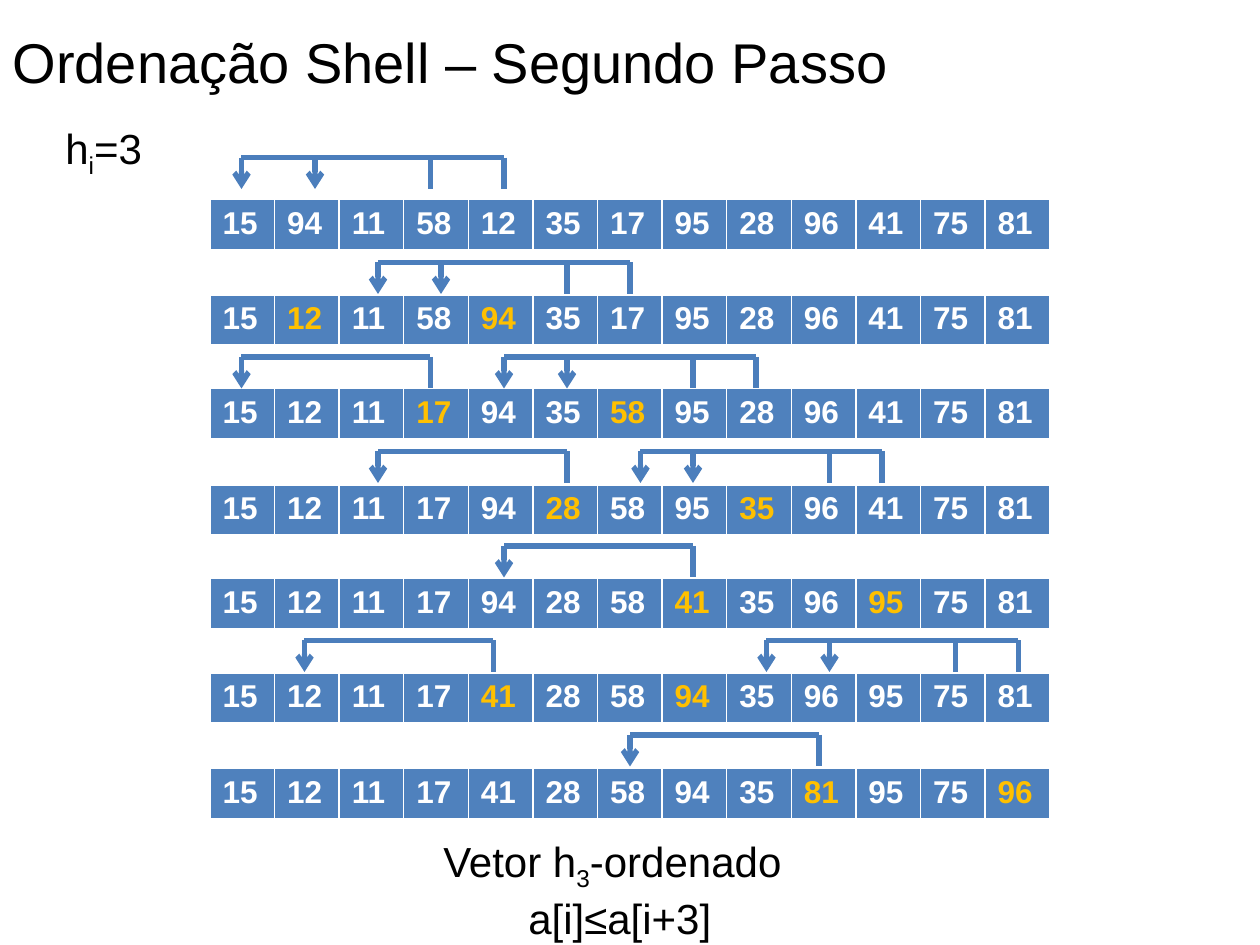
import dataclasses
import lxml.etree
import pptx
import pptx.dml.color
import pptx.enum.shapes
import pptx.enum.text
import pptx.oxml.ns
import pptx.util

BLACK = pptx.dml.color.RGBColor(0x00, 0x00, 0x00)
WHITE = pptx.dml.color.RGBColor(0xFF, 0xFF, 0xFF)
CELL_BLUE = pptx.dml.color.RGBColor(0x4F, 0x81, 0xBD)
BRACKET_BLUE = pptx.dml.color.RGBColor(0x4B, 0x7E, 0xBC)
SWAP_GOLD = pptx.dml.color.RGBColor(0xFF, 0xC0, 0x00)
FONT_NAME = "Arial"

GRID_PER_INCH = 12
TABLE_LEFT, TABLE_WIDTH, TABLE_HEIGHT = 20, 80, 4.9
BRACKET_SPAN, BRACKET_HEIGHT = 18, 3
INITIAL_VALUES = (15, 94, 11, 58, 12, 35, 17, 95, 28, 96, 41, 75, 81)


@dataclasses.dataclass(frozen=True)
class Step:
    table_top: float
    bracket_top: float
    bracket_lefts: tuple[float, ...]
    swap: tuple[int, ...] = ()


STEPS = (
    Step(19, 15, (23, 30)),
    Step(28.1, 25, (36, 42), (1, 4)),
    Step(37, 34, (23, 48, 54), (3, 6)),
    Step(46.2, 43, (36, 61, 66), (5, 8)),
    Step(55.1, 52, (48,), (7, 10)),
    Step(64.1, 61, (29, 73, 79), (4, 7)),
    Step(73.2, 70, (60,), (9, 12)),
)


def grid(units: float) -> pptx.util.Length:
    return pptx.util.Inches(units / GRID_PER_INCH)


def style_run(run, size: float, color: pptx.dml.color.RGBColor, bold: bool = False) -> None:
    run.font.name = FONT_NAME
    run.font.size = pptx.util.Pt(size)
    run.font.color.rgb = color
    run.font.bold = bold


def set_borders(cell) -> None:
    properties = cell._tc.get_or_add_tcPr()
    for index, (side, points) in enumerate((("lnL", 1), ("lnR", 1), ("lnT", 1), ("lnB", 3))):
        border = lxml.etree.Element(
            pptx.oxml.ns.qn(f"a:{side}"), w=str(int(pptx.util.Pt(points)))
        )
        fill = lxml.etree.SubElement(border, pptx.oxml.ns.qn("a:solidFill"))
        lxml.etree.SubElement(fill, pptx.oxml.ns.qn("a:srgbClr"), val=str(WHITE))
        properties.insert(index, border)


def draw_array(slide, step: Step, values: list[int]) -> None:
    table = slide.shapes.add_table(
        1, len(values), grid(TABLE_LEFT), grid(step.table_top),
        grid(TABLE_WIDTH), grid(TABLE_HEIGHT),
    ).table
    for index, value in enumerate(values):
        cell = table.cell(0, index)
        cell.fill.solid()
        cell.fill.fore_color.rgb = CELL_BLUE
        set_borders(cell)
        paragraph = cell.text_frame.paragraphs[0]
        paragraph.text = str(value)
        color = SWAP_GOLD if index in step.swap else WHITE
        style_run(paragraph.runs[0], 18, color, bold=True)


def draw_line(group, start: tuple[float, float], end: tuple[float, float], arrow: bool) -> None:
    connector = group.shapes.add_connector(
        pptx.enum.shapes.MSO_CONNECTOR.STRAIGHT, *map(grid, start + end)
    )
    connector.line.color.rgb = BRACKET_BLUE
    connector.line.width = pptx.util.Pt(3)
    if arrow:
        line = connector.line._get_or_add_ln()
        lxml.etree.SubElement(line, pptx.oxml.ns.qn("a:tailEnd"), type="arrow")
    lxml.etree.SubElement(connector._element.spPr, pptx.oxml.ns.qn("a:effectLst"))


def draw_bracket(slide, left: float, top: float) -> None:
    group = slide.shapes.add_group_shape()
    right, bottom = left + BRACKET_SPAN, top + BRACKET_HEIGHT
    draw_line(group, (left, top), (right, top), arrow=False)
    draw_line(group, (right, top), (right, bottom), arrow=False)
    draw_line(group, (left, top), (left, bottom), arrow=True)


def draw_text(
    slide, box: tuple[float, float, float, float], lines: tuple[tuple[str, ...], ...]
) -> pptx.util.Length:
    text_box = slide.shapes.add_textbox(*map(pptx.util.Inches, box))
    frame = text_box.text_frame
    frame.word_wrap = True
    frame.auto_size = pptx.enum.text.MSO_AUTO_SIZE.SHAPE_TO_FIT_TEXT
    for line_index, parts in enumerate(lines):
        paragraph = frame.add_paragraph() if line_index else frame.paragraphs[0]
        for part_index, part in enumerate(parts):
            run = paragraph.add_run()
            run.text = part
            style_run(run, 24, BLACK)
            if part_index == 1:
                run.font._element.set("baseline", "-25000")
    return frame


def draw_title(slide) -> None:
    title = slide.shapes.title
    title.left, title.top, title.width, title.height = map(
        pptx.util.Inches, (0, 0.17, 7.2, 0.64)
    )
    frame = title.text_frame
    frame.text = "Ordenação Shell – Segundo Passo"
    frame.word_wrap = False
    frame.auto_size = pptx.enum.text.MSO_AUTO_SIZE.SHAPE_TO_FIT_TEXT
    frame.vertical_anchor = pptx.enum.text.MSO_ANCHOR.TOP
    paragraph = frame.paragraphs[0]
    paragraph.alignment = pptx.enum.text.PP_ALIGN.LEFT
    style_run(paragraph.runs[0], 32, BLACK)


def main() -> None:
    presentation = pptx.Presentation()
    presentation.slide_width = pptx.util.Inches(10)
    presentation.slide_height = pptx.util.Inches(7.5)
    slide = presentation.slides.add_slide(presentation.slide_layouts[5])
    draw_title(slide)
    draw_text(slide, (0.42, 0.92, 1.25, 0.51), (("h", "i", "=3"),))

    values = list(INITIAL_VALUES)
    for step in STEPS:
        if step.swap:
            first, second = step.swap
            values[first], values[second] = values[second], values[first]
        draw_array(slide, step, values)
        for left in step.bracket_lefts:
            draw_bracket(slide, left, step.bracket_top)

    result = draw_text(
        slide, (3.42, 6.58, 3, 0.91), (("Vetor h", "3", "-ordenado"), ("a[i]≤a[i+3]",))
    )
    result.paragraphs[1].alignment = pptx.enum.text.PP_ALIGN.CENTER
    presentation.save("out.pptx")


if __name__ == "__main__":
    main()
